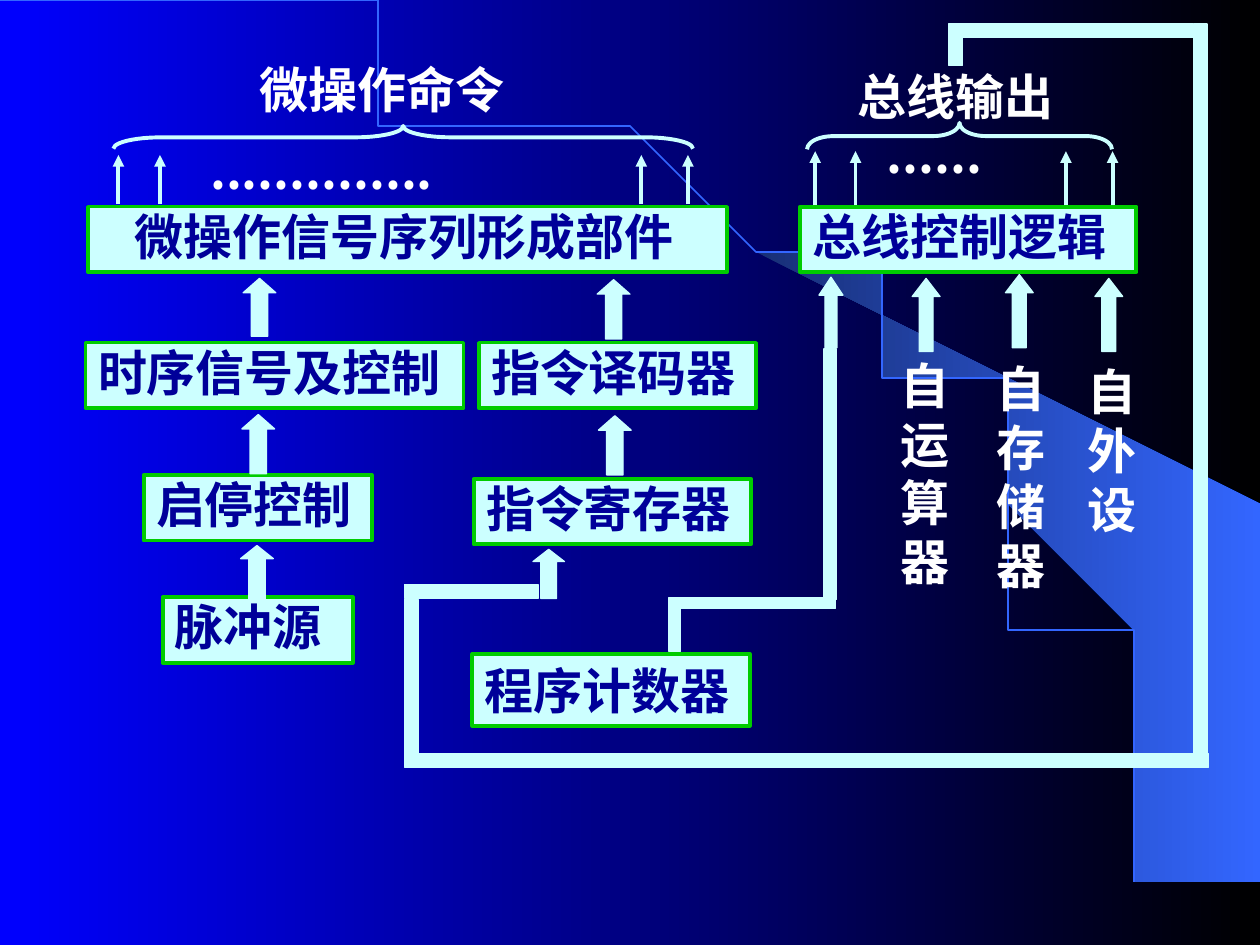
from lxml.etree import SubElement
from pptx import Presentation
from pptx.dml.color import RGBColor
from pptx.enum.shapes import MSO_CONNECTOR, MSO_SHAPE
from pptx.enum.text import MSO_ANCHOR, MSO_AUTO_SIZE, PP_ALIGN
from pptx.oxml.ns import qn
from pptx.util import Inches, Pt

BLUE = RGBColor(0x00, 0x00, 0xFF)
BLACK = RGBColor(0x00, 0x00, 0x00)
WHITE = RGBColor(0xFF, 0xFF, 0xFF)
NAVY = RGBColor(0x00, 0x00, 0x99)
GREEN = RGBColor(0x00, 0xCC, 0x00)
PALE = RGBColor(0xCC, 0xFF, 0xFF)
DEEP_BLUE = RGBColor(0x18, 0x2F, 0x76)
SKY_BLUE = RGBColor(0x33, 0x66, 0xFF)
LATIN, CJK = "Times New Roman", "Noto Sans CJK SC"

# Text, left, top, width, height, outline points, indent, line spacing
UNITS = [
    ("微操作信号序列形成部件", 0.7, 1.64, 5.07, 0.52, 2, 0.27, 0.9),
    ("时序信号及控制", 0.68, 2.72, 3, 0.52, 2, 0, 0.9),
    ("指令译码器", 3.8, 2.72, 2.2, 0.52, 2, 0, 0.9),
    ("启停控制", 1.14, 3.77, 1.81, 0.52, 2.25, 0, 0.9),
    ("指令寄存器", 3.76, 3.8, 2.2, 0.52, 2.25, 0, 0.9),
    ("脉冲源", 1.29, 4.74, 1.51, 0.52, 2.25, 0, 0.9),
    ("程序计数器", 3.75, 5.19, 2.2, 0.57, 2.25, 0, 1),
    ("总线控制逻辑", 6.35, 1.64, 2.67, 0.52, 2.25, 0, 0.9),
]
# Text, left, top, width, height, font
LABELS = [
    ("微操作命令", 1.96, 0.42, 2.35, 0.57, CJK),
    ("..............", 1.57, 1.07, 3.16, 0.57, CJK),
    ("总线输出", 6.71, 0.48, 2.03, 0.57, CJK),
    ("......", 6.94, 0.94, 1.44, 0.57, CJK),
    ("自运算器", 7.05, 2.77, 0.65, 1.97, LATIN),
    ("自存储器", 7.81, 2.8, 0.65, 1.97, LATIN),
    ("自外设", 8.53, 2.82, 0.65, 1.5, LATIN),
]
# Left, top, width, height, head proportion
BLOCK_ARROWS = [
    (1.93, 2.21, 0.26, 0.46, 0.44),
    (4.74, 2.22, 0.26, 0.47, 0.44),
    (1.92, 3.29, 0.26, 0.47, 0.44),
    (4.75, 3.3, 0.26, 0.47, 0.44),
    (1.91, 4.33, 0.26, 0.43, 0.4),
    (7.24, 2.21, 0.22, 0.58, 0.65),
    (7.98, 2.18, 0.22, 0.58, 0.65),
    (8.69, 2.21, 0.22, 0.58, 0.65),
    (6.5, 2.2, 0.19, 0.56, 0.75),
    (4.23, 4.36, 0.25, 0.39, 0.39),
]
# Left, top, width, height
COUNTER_TO_BUS = [(6.54, 2.77, 0.1, 1.99), (5.39, 4.74, 1.24, 0.09),
                  (5.31, 4.74, 0.09, 0.43)]
BUS_TO_REGISTER = [(7.53, 0.25, 0.11, 0.27), (7.53, 0.19, 1.94, 0.11),
                   (9.47, 0.19, 0.11, 5.83), (3.22, 5.98, 6.37, 0.11),
                   (3.21, 4.76, 0.11, 1.33), (3.21, 4.64, 1.06, 0.11)]
# Horizontal positions, bottom, top
SIGNALS = [((0.94, 1.27, 5.09, 5.46), 1.62, 1.23),
           ((6.47, 6.79, 8.46, 8.83), 1.63, 1.2)]
# Left, top, width, height before the quarter turn, curl proportion
BRACES = [(3.11, -1.21, 0.18, 4.6, 2.11), (7.51, -0.13, 0.21, 2.42, 1)]

WEDGE = [(9.2, 7.48), (9.99, 7.49), (9.99, 4.23), (5.89, 1.73), (6.24, 1.99),
         (6.53, 2.22), (6.85, 2.5), (7.16, 2.8), (7.62, 3.3), (8.03, 3.84),
         (8.32, 4.31), (8.58, 4.79), (8.78, 5.28), (8.93, 5.72), (9.03, 6.09),
         (9.13, 6.56), (9.17, 6.96), (9.2, 7.48)]
ARC = [(0, 0), (5.08, 0), (9.2, 3.35), (9.2, 7.49)]
ARC_STEPS = 60


def bezier_point(controls, t):
    weights = ((1 - t) ** 3, 3 * t * (1 - t) ** 2, 3 * t * t * (1 - t), t ** 3)
    return tuple(sum(w * c[axis] for w, c in zip(weights, controls)) for axis in (0, 1))


def set_gradient(fill, colors):
    fill.gradient()
    fill.gradient_angle = 0
    for stop, color in zip(fill.gradient_stops, colors):
        stop.color.rgb = color


def set_line(shape, color, points):
    shape.line.color.rgb = color
    shape.line.width = Pt(points)


def add_outline(slide, points, close):
    builder = slide.shapes.build_freeform(*points[0], scale=Inches(1))
    builder.add_line_segments(points[1:], close=close)
    outline = builder.convert_to_shape()
    outline.shadow.inherit = False
    return outline


def add_block(slide, preset, box, line_color=PALE, line_points=0.75):
    block = slide.shapes.add_shape(preset, *map(Inches, box))
    block.shadow.inherit = False
    block.fill.solid()
    block.fill.fore_color.rgb = PALE
    set_line(block, line_color, line_points)
    return block


def write(shape, text, color, font_name, spacing=1, indent=0):
    frame = shape.text_frame
    frame.word_wrap = True
    frame.auto_size = MSO_AUTO_SIZE.SHAPE_TO_FIT_TEXT
    frame.vertical_anchor = MSO_ANCHOR.TOP
    paragraph = frame.paragraphs[0]
    paragraph.alignment = PP_ALIGN.LEFT
    paragraph.line_spacing = spacing
    if indent:
        frame.margin_left = Inches(0.1 + indent)
    run = paragraph.add_run()
    run.text = text
    for key, value in {"size": Pt(28), "bold": True, "name": font_name}.items():
        setattr(run.font, key, value)
    run.font.color.rgb = color
    SubElement(run.font._element, qn("a:ea"), typeface=CJK)


def add_signal(slide, x, bottom, top):
    signal = slide.shapes.add_connector(
        MSO_CONNECTOR.STRAIGHT, *map(Inches, (x, bottom, x, top)))
    set_line(signal, PALE, 2.25)
    properties = signal._element.spPr
    SubElement(properties.find(qn("a:ln")), qn("a:tailEnd"), type="triangle")
    SubElement(properties, qn("a:effectLst"))


def add_brace(slide, *box, curl):
    brace = slide.shapes.add_shape(MSO_SHAPE.LEFT_BRACE, *map(Inches, box))
    brace.shadow.inherit = False
    brace.adjustments[0] = curl
    brace.rotation = 90
    brace.fill.background()
    set_line(brace, PALE, 2.25)


def main():
    deck = Presentation()
    deck.slide_width, deck.slide_height = Inches(10), Inches(7.5)
    slide = deck.slides.add_slide(deck.slide_layouts[6])
    set_gradient(slide.background.fill, (BLUE, BLACK))

    wedge = add_outline(slide, WEDGE, True)
    set_gradient(wedge.fill, (DEEP_BLUE, SKY_BLUE))
    wedge.line.fill.background()
    arc = add_outline(
        slide, [bezier_point(ARC, i / ARC_STEPS) for i in range(ARC_STEPS + 1)], False)
    arc.fill.background()
    set_line(arc, SKY_BLUE, 1)

    for text, *box, outline, indent, spacing in UNITS:
        unit = add_block(slide, MSO_SHAPE.RECTANGLE, box, GREEN, outline)
        write(unit, text, NAVY, LATIN, spacing, indent)
    for positions, bottom, top in SIGNALS:
        for x in positions:
            add_signal(slide, x, bottom, top)
    for *box, curl in BRACES:
        add_brace(slide, *box, curl=curl)
    for text, *box, font_name in LABELS:
        label = slide.shapes.add_textbox(*map(Inches, box))
        write(label, text, WHITE, font_name)
    for box in COUNTER_TO_BUS + BUS_TO_REGISTER:
        add_block(slide, MSO_SHAPE.RECTANGLE, box)
    for *box, head in BLOCK_ARROWS:
        arrow = add_block(slide, MSO_SHAPE.UP_ARROW, box)
        arrow.adjustments[1] = head

    deck.save("out.pptx")


if __name__ == "__main__":
    main()
